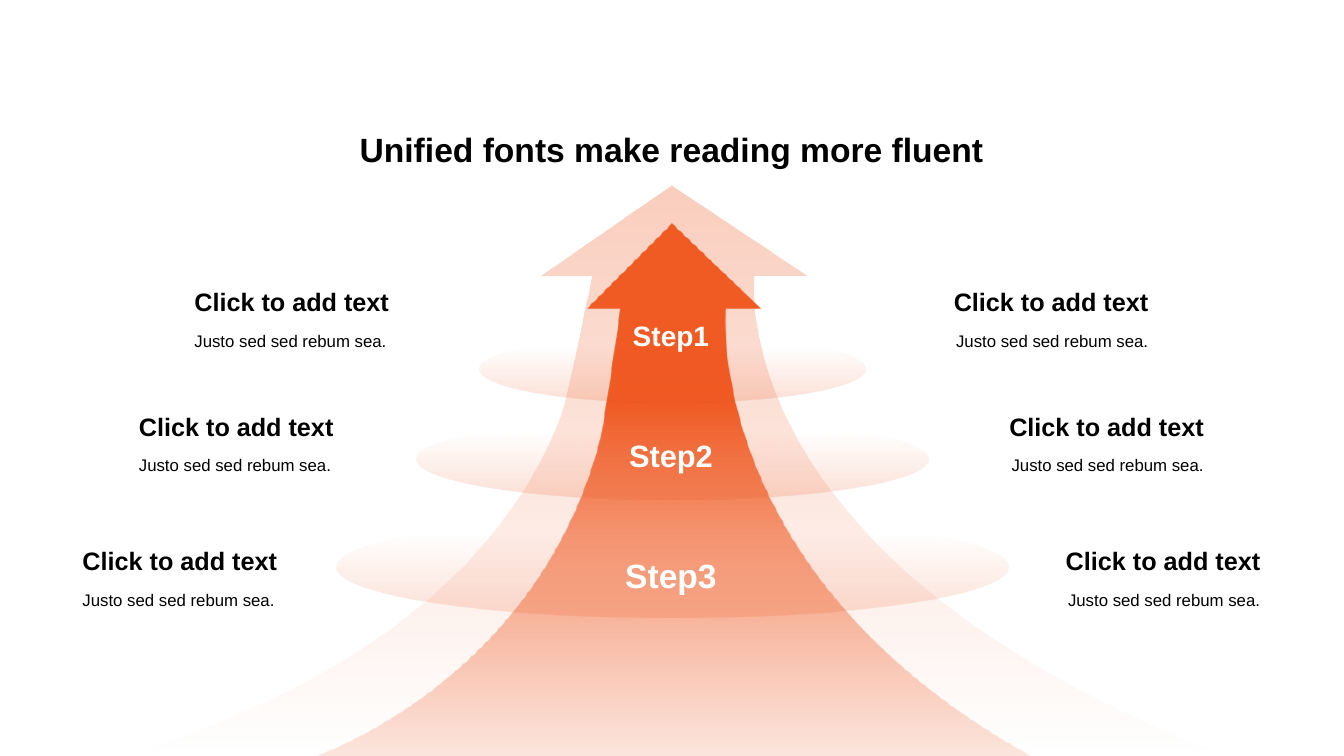
from pptx import Presentation
from pptx.dml.color import RGBColor
from pptx.enum.shapes import MSO_SHAPE
from pptx.enum.text import MSO_ANCHOR, MSO_AUTO_SIZE, PP_ALIGN
from pptx.oxml.ns import qn
from pptx.util import Inches, Pt
from lxml import etree

OVAL = MSO_SHAPE.OVAL
TOP, MIDDLE, BOTTOM = MSO_ANCHOR.TOP, MSO_ANCHOR.MIDDLE, MSO_ANCHOR.BOTTOM
LEFT, CENTER, RIGHT = PP_ALIGN.LEFT, PP_ALIGN.CENTER, PP_ALIGN.RIGHT
NO_AUTOFIT = MSO_AUTO_SIZE.NONE

TITLE = "Unified fonts make reading more fluent"
HEADING = "Click to add text"
BODY = "Justo sed sed rebum sea."

THEME = {
    "font": "Arial",
    "text": "000000",
    "step": "FFFFFF",
    "accent": "F05A23",
    "soft": "F69C7B",
    "title_size": 24,
    "heading_size": 18,
    "body_size": 12,
}

ARROWS = [
    {
        "start": (1.16, 7.5),
        "segments": [
            [(1.16, 7.5), (4.59, 6.72), (5.56, 4.13)],
            [(5.66, 3.81), (5.87, 2.74), (5.87, 2.74)],
            [(5.36, 2.74)], [(6.66, 1.84)], [(8.01, 2.74)], [(7.48, 2.74)],
            [(7.48, 2.74), (7.11, 5.57), (12.17, 7.5)],
        ],
        "stops": [(0, THEME["soft"], 50), (100, THEME["soft"], 0)],
    },
    {
        "start": (3.1, 7.5),
        "segments": [
            [(3.1, 7.5), (5.32, 6.77), (5.95, 4.35)],
            [(6.01, 4.06), (6.15, 3.06), (6.15, 3.06)],
            [(5.82, 3.06)], [(6.66, 2.22)], [(7.54, 3.06)], [(7.19, 3.06)],
            [(7.19, 3.06), (6.96, 5.7), (10.24, 7.5)],
        ],
        "stops": [(33, THEME["accent"], 100), (100, THEME["soft"], 25)],
    },
]
RING_STOPS = [(19, THEME["accent"], 0), (100, THEME["accent"], 19)]
RINGS = [(4.76, 3.33, 3.82, 0.66), (4.13, 4.15, 5.08, 0.81), (3.34, 5.13, 6.66, 1)]
STEPS = [("Step1", 20), ("Step2", 22), ("Step3", 24)]
NOTES = [(1.83, 2.7, 3.19), (1.28, 3.94, 4.42), (0.72, 5.27, 5.76)]

SLIDE_W, SLIDE_H = 13.33, 7.5
MIRROR_W = 13.32
STEP_LEFT, STEP_TOP, STEP_PITCH, STEP_W, STEP_H = 4.69, 2.93, 1.19, 3.93, 0.8
NOTE_W, HEADING_H, BODY_H = 2.76, 0.49, 0.59


def set_gradient(sp, stops):
    sp.shadow.inherit = False
    sp.line.fill.background()
    sp.fill.gradient()
    sp.fill.gradient_angle = 270
    for stop, (position, color, _) in zip(sp.fill.gradient_stops, stops):
        stop.position = position / 100
        stop.color.rgb = RGBColor.from_string(color)
    colors = sp._element.spPr.iter(qn("a:srgbClr"))
    for node, (_, _, opacity) in zip(list(colors), stops):
        etree.SubElement(node, qn("a:alpha")).set("val", str(opacity * 1000))


def bend_segments(sp, segments):
    lines = iter(list(sp._element.spPr.iter(qn("a:lnTo"))))
    for segment in segments:
        nodes = [next(lines) for _ in segment]
        if len(nodes) == 1:
            continue
        curve = etree.Element(qn("a:cubicBezTo"))
        nodes[0].addprevious(curve)
        for node in nodes:
            curve.append(node[0])
            node.getparent().remove(node)


def add_arrow(s, arrow):
    x, y = arrow["start"]
    points = [(Inches(px), Inches(py)) for segment in arrow["segments"] for px, py in segment]
    builder = s.shapes.build_freeform(Inches(x), Inches(y))
    builder.add_line_segments(points, close=True)
    sp = builder.convert_to_shape()
    bend_segments(sp, arrow["segments"])
    set_gradient(sp, arrow["stops"])


def add_oval(s, *box):
    return s.shapes.add_shape(OVAL, *map(Inches, box))


def write(sp, text, size, color, bold, align, anchor, spacing=None):
    tf = sp.text_frame
    tf.word_wrap = True
    tf.auto_size = NO_AUTOFIT
    tf.vertical_anchor = anchor
    p = tf.paragraphs[0]
    p.alignment = align
    p.line_spacing = spacing
    r = p.add_run()
    r.text = text
    r.font.name = THEME["font"]
    r.font.size = Pt(size)
    r.font.bold = bold
    r.font.color.rgb = RGBColor.from_string(color)


def add_note(s, left, heading_top, body_top, align):
    x, w = Inches(left), Inches(NOTE_W)
    body = s.shapes.add_textbox(x, Inches(body_top), w, Inches(BODY_H))
    write(body, BODY, THEME["body_size"], THEME["text"], False, align, TOP, 1.2)
    heading = s.shapes.add_textbox(x, Inches(heading_top), w, Inches(HEADING_H))
    write(heading, HEADING, THEME["heading_size"], THEME["text"], True, align, BOTTOM)


def main():
    prs = Presentation()
    prs.slide_width, prs.slide_height = Inches(SLIDE_W), Inches(SLIDE_H)
    s = prs.slides.add_slide(prs.slide_layouts[5])

    title = s.shapes.title
    title.left, title.top = Inches(0.72), Inches(1.12)
    title.width, title.height = Inches(11.88), Inches(0.72)
    write(title, TITLE, THEME["title_size"], THEME["text"], True, CENTER, MIDDLE)

    for arrow in ARROWS:
        add_arrow(s, arrow)
    for ring in RINGS:
        set_gradient(add_oval(s, *ring), RING_STOPS)
    for i, (label, size) in enumerate(STEPS):
        sp = add_oval(s, STEP_LEFT, STEP_TOP + i * STEP_PITCH, STEP_W, STEP_H)
        sp.shadow.inherit = False
        sp.fill.background()
        sp.line.fill.background()
        write(sp, label, size, THEME["step"], True, CENTER, MIDDLE)
    for left, heading_top, body_top in NOTES:
        add_note(s, left, heading_top, body_top, LEFT)
    for left, heading_top, body_top in NOTES:
        add_note(s, MIRROR_W - left - NOTE_W, heading_top, body_top, RIGHT)

    prs.save("out.pptx")


if __name__ == "__main__":
    main()
